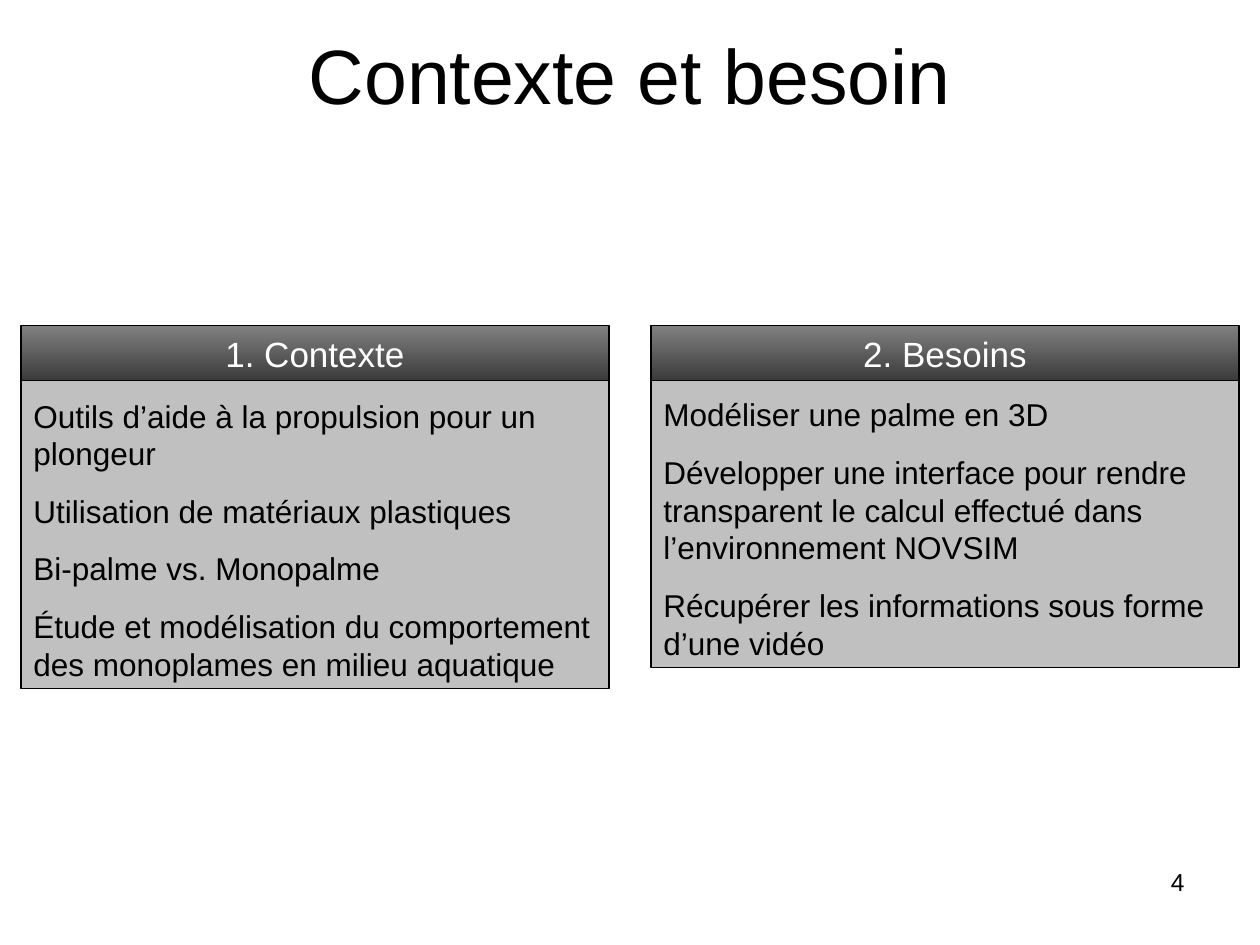
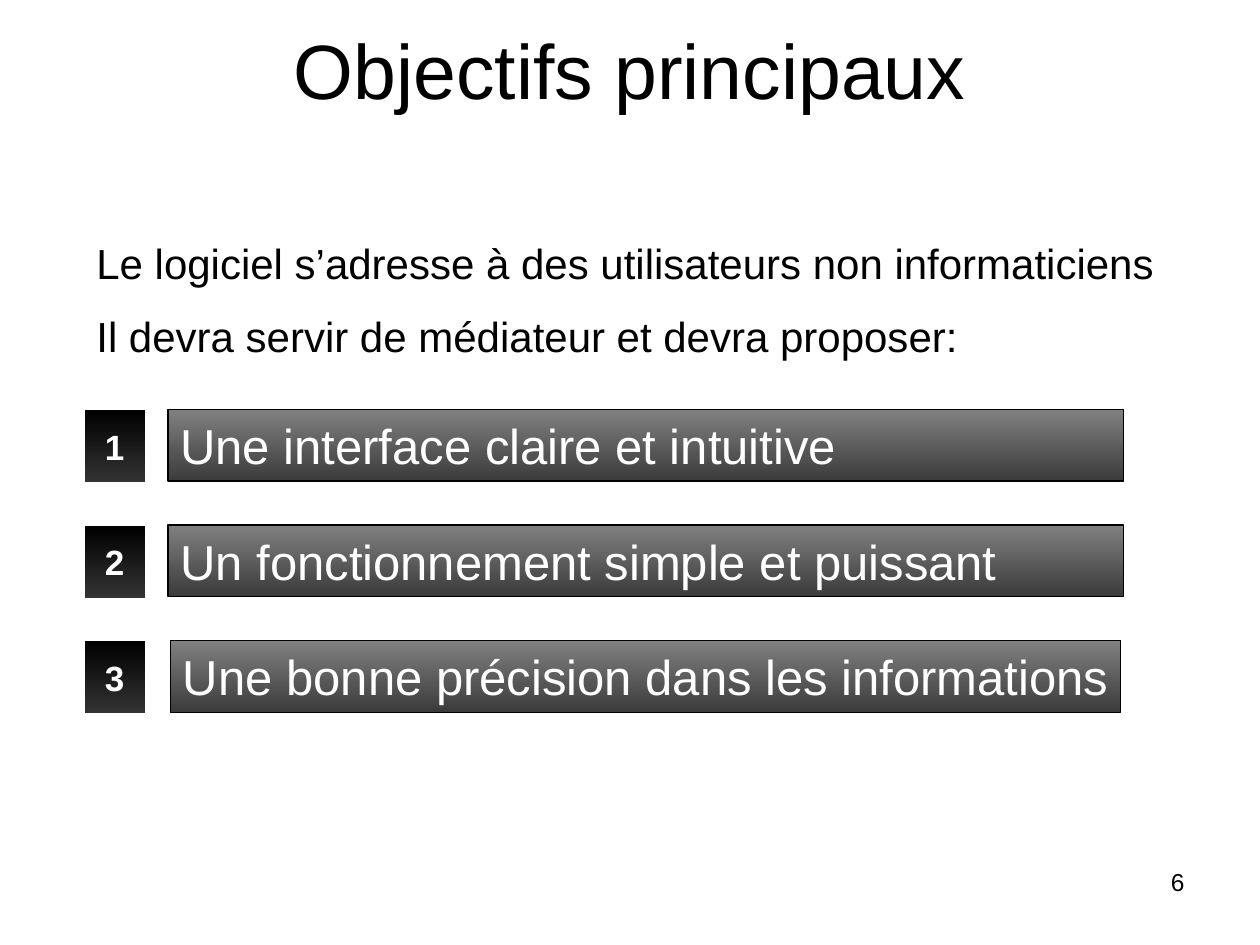
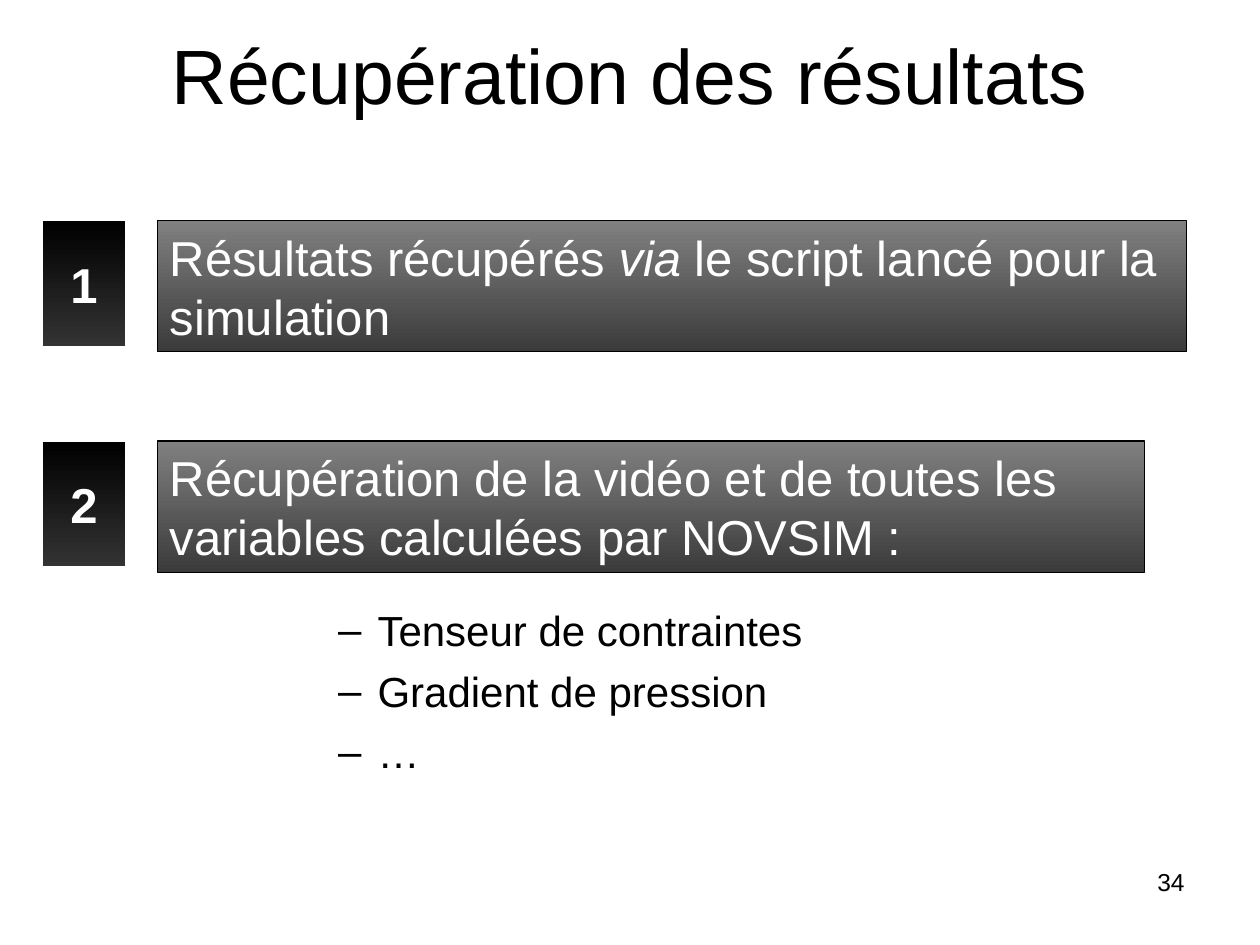
from lxml import etree
from pptx import Presentation
from pptx.dml.color import RGBColor
from pptx.enum import shapes, text
from pptx.oxml import ns
from pptx.util import Pt

FONT = "Arial"
BLACK, WHITE, GREY = "000000", "FFFFFF", "C0C0C0"
BAR_FILL = ("808080", "3B3B3B")
BADGE_FILL = ("000000", "333333")
LINE_HEIGHT = 1.2
LEFT, CENTER, RIGHT = text.PP_ALIGN.LEFT, text.PP_ALIGN.CENTER, text.PP_ALIGN.RIGHT
TOP, MIDDLE, BOTTOM = (text.MSO_ANCHOR.TOP, text.MSO_ANCHOR.MIDDLE,
                       text.MSO_ANCHOR.BOTTOM)


def rgb(color):
    return RGBColor.from_string(color)


def add_dash(p, margin, indent):
    pPr = p._p.get_or_add_pPr()
    pPr.set("marL", str(Pt(margin)))
    pPr.set("indent", str(Pt(indent)))
    color = etree.SubElement(pPr, ns.qn("a:buClr"))
    etree.SubElement(color, ns.qn("a:srgbClr"), val=BLACK)
    etree.SubElement(pPr, ns.qn("a:buFont"), typeface=FONT)
    etree.SubElement(pPr, ns.qn("a:buChar"), char="–")


def write(sp, paragraphs, size, color=BLACK, align=LEFT, anchor=TOP, gap=0,
          bold=False, wrap=True, dash=False):
    """Fill a shape with paragraphs; words between asterisks become italic."""
    tf = sp.text_frame
    tf.auto_size = text.MSO_AUTO_SIZE.NONE
    tf.word_wrap = wrap
    tf.vertical_anchor = anchor
    for i, content in enumerate(paragraphs):
        p = tf.add_paragraph() if i else tf.paragraphs[0]
        if dash:
            p.level = 1
            add_dash(p, 58.5, -22.5)
        p.alignment = align
        p.line_spacing = Pt(size * LINE_HEIGHT)
        p.space_before = Pt(gap if i else 0)
        for j, part in enumerate(content.split("*")):
            r = p.add_run()
            r.text = part
            r.font.name, r.font.size = FONT, Pt(size)
            r.font.bold, r.font.italic = bold, j % 2 == 1
            r.font.color.rgb = rgb(color)


class Deck:
    def __init__(self):
        self.prs = Presentation()
        self.prs.slide_width, self.prs.slide_height = Pt(720), Pt(540)
        self.s = None

    def slide(self, title, number, layout=5, title_height=84):
        self.s = self.prs.slides.add_slide(self.prs.slide_layouts[layout])
        self.place(self.s.shapes.title, 36, 0, 648, title_height)
        write(self.s.shapes.title, [title], 44, align=CENTER, anchor=MIDDLE)
        self.label(str(number), 516, 492, 168, 37.5, size=14, align=RIGHT)

    def place(self, sp, x, y, w, h):
        sp.left, sp.top, sp.width, sp.height = Pt(x), Pt(y), Pt(w), Pt(h)

    def label(self, content, x, y, w, h, size=24, **style):
        sp = self.s.shapes.add_textbox(Pt(x), Pt(y), Pt(w), Pt(h))
        write(sp, [content], size, **style)

    def box(self, x, y, w, h, fill, line=BLACK):
        """Add a rectangle filled with one colour or a vertical pair of colours."""
        sp = self.s.shapes.add_shape(shapes.MSO_SHAPE.RECTANGLE,
                                     Pt(x), Pt(y), Pt(w), Pt(h))
        sp.shadow.inherit = False
        sp.line.color.rgb = rgb(line)
        sp.line.width = Pt(0.75)
        if isinstance(fill, str):
            sp.fill.solid()
            sp.fill.fore_color.rgb = rgb(fill)
        else:
            sp.fill.gradient()
            sp.fill.gradient_angle = 270
            for stop, color in zip(sp.fill.gradient_stops, fill):
                stop.color.rgb = rgb(color)
        return sp

    def bar(self, content, x, y, w, h, size=28, **style):
        sp = self.box(x, y, w, h, BAR_FILL)
        write(sp, [content], size, color=WHITE, anchor=MIDDLE, **style)

    def badge(self, number, x, y, w, h, size):
        sp = self.box(x, y, w, h, BADGE_FILL, line=WHITE)
        write(sp, [str(number)], size, color=WHITE, align=CENTER,
              anchor=MIDDLE, bold=True, wrap=False)

    def panel(self, heading, items, x, y, bottom):
        sp = self.box(x, y, 336, bottom - y, GREY)
        write(sp, items, 18, anchor=BOTTOM, gap=11.25)
        self.bar(heading, x, 186, 336, 31.5, size=20, align=CENTER)

    def dashes(self, items, x, y, w, h):
        sp = self.s.placeholders[1]
        self.place(sp, x, y, w, h)
        write(sp, items, 24, gap=6, dash=True)


def context_slide(deck):
    deck.slide("Contexte et besoin", 4)
    deck.panel("1. Contexte", [
        "Outils d’aide à la propulsion pour un plongeur",
        "Utilisation de matériaux plastiques",
        "Bi-palme vs. Monopalme",
        "Étude et modélisation du comportement des monoplames en milieu aquatique",
    ], 12, 197, 393.5)
    deck.panel("2. Besoins", [
        "Modéliser une palme en 3D",
        "Développer une interface pour rendre transparent le calcul effectué "
        "dans l’environnement NOVSIM",
        "Récupérer les informations sous forme d’une vidéo",
    ], 372, 189, 381.5)


def goals_slide(deck):
    deck.slide("Objectifs principaux", 6, title_height=78)
    deck.label("Le logiciel s’adresse à des utilisateurs non informaticiens",
               48, 132, 630, 36)
    deck.label("Il devra servir de médiateur et devra proposer:",
               48, 174, 506, 36, wrap=False)
    goals = [
        ("Une interface claire et intuitive", 96, 546, True),
        ("Un fonctionnement simple et puissant", 96, 546, True),
        ("Une bonne précision dans les informations", 97.5, 543, False),
    ]
    for i, (goal, x, w, wrap) in enumerate(goals):
        y = 234 + 66 * i
        deck.badge(i + 1, 48, y, 35, 42, 20)
        deck.bar(goal, x, y, w, 41, wrap=wrap)


def results_slide(deck):
    deck.slide("Récupération des résultats", 34, layout=1)
    steps = [
        ("Résultats récupérés *via* le script lancé pour la simulation", 588),
        ("Récupération de la vidéo et de toutes les variables calculées "
         "par NOVSIM :", 564),
    ]
    for i, (step, w) in enumerate(steps):
        y = 126 + 126 * i
        deck.bar(step, 90, y, w, 75)
        deck.badge(i + 1, 24, y, 48, 72, 28)
    deck.dashes(["Tenseur de contraintes", "Gradient de pression", "…"],
                150, 342, 408, 128)


def main():
    deck = Deck()
    context_slide(deck)
    goals_slide(deck)
    results_slide(deck)
    deck.prs.save("out.pptx")


if __name__ == "__main__":
    main()
